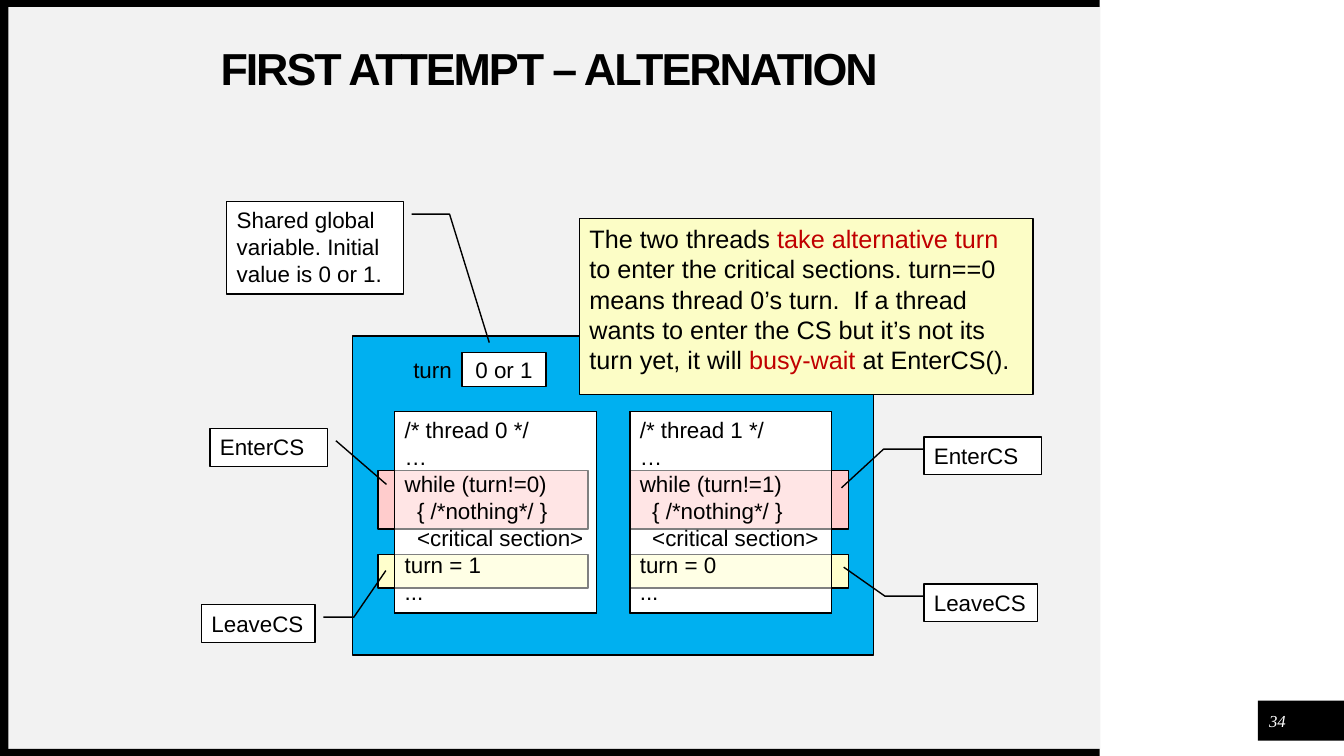
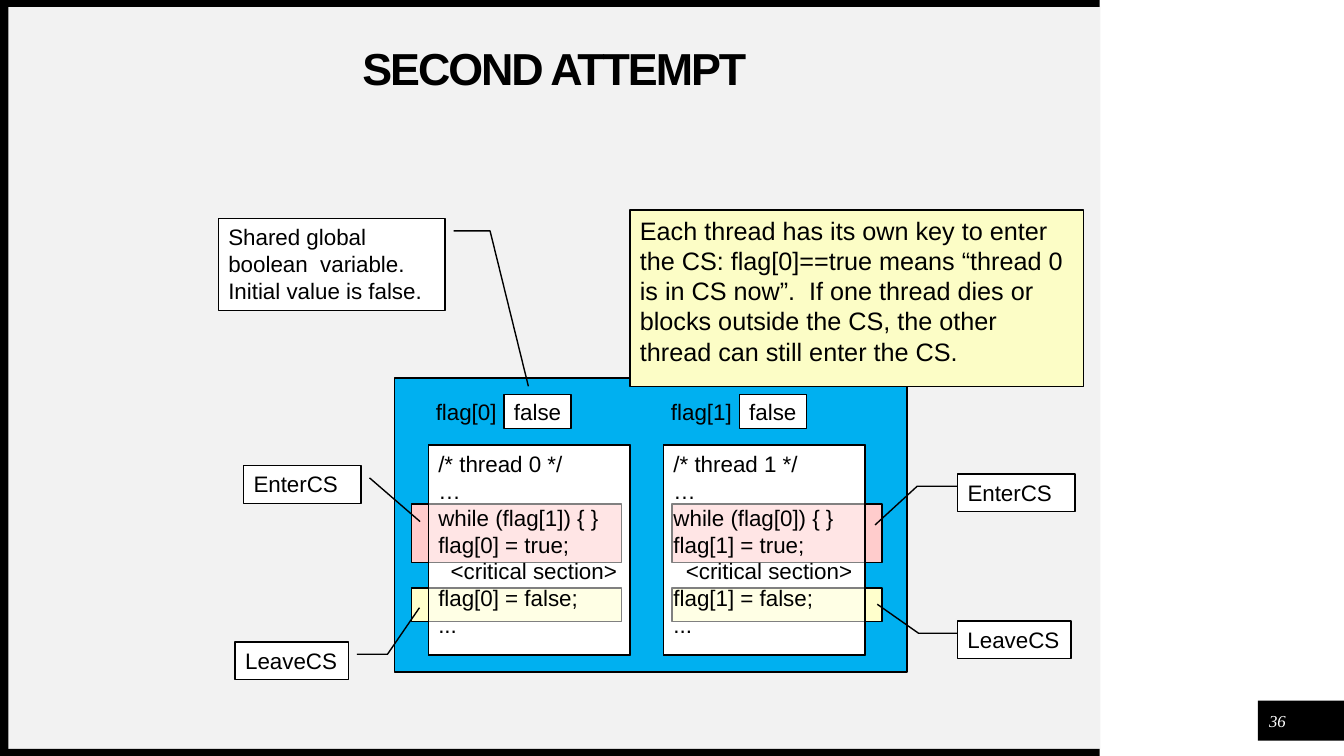
from dataclasses import dataclass
from typing import Any, NamedTuple, Sequence

from lxml.etree import SubElement
from pptx import Presentation
from pptx.dml.color import RGBColor
from pptx.enum.shapes import MSO_SHAPE
from pptx.enum.text import MSO_ANCHOR, MSO_AUTO_SIZE, PP_ALIGN
from pptx.oxml.ns import qn
from pptx.util import Pt

BLACK, WHITE, GREY, BLUE = "000000", "FFFFFF", "F2F2F2", "00B0F0"
PINK, CREAM, YELLOW, RED = "FFCCCC", "FFFFCC", "FCFDC6", "C00000"
BODY = {"name": "Arial", "size": Pt(16)}
NOTE = {"name": "Arial", "size": Pt(18)}
TITLE = {"name": "Arial", "size": Pt(32), "bold": True}
NUMBER = {"name": "Times New Roman", "size": Pt(12), "italic": True}
NO_MARGINS = {f"margin_{side}": 0 for side in ("left", "top", "right", "bottom")}
CENTERED = {**NO_MARGINS, "vertical_anchor": MSO_ANCHOR.MIDDLE, "word_wrap": False}
TOP = {"vertical_anchor": MSO_ANCHOR.TOP, "word_wrap": False}
WRAPPED = {"vertical_anchor": MSO_ANCHOR.TOP, "word_wrap": True}
FLAG_H, CODE_W, COLUMN_STEP = 24, 144, 168


class Box(NamedTuple):
    """A rectangle in points."""

    x: float
    y: float
    w: float
    h: float


class Span(NamedTuple):
    """A piece of text in one colour."""

    text: str
    color: str = BLACK


class Callout(NamedTuple):
    """A bordered label with a bent leader line."""

    text: str
    box: Box
    leader: Sequence[float]


@dataclass
class Flag:
    """A shared variable: its name and its value."""

    name: str
    value: str
    x: float
    name_w: float
    value_w: float


@dataclass
class Thread:
    """A code column with its enter and leave bands."""

    code: str
    band_x: float
    band_w: float


@dataclass
class Attempt:
    """The content of one slide."""

    title: str
    number: str
    panel: Box
    code_x: float
    code_y: float
    code_h: float
    bands_y: float
    flags_y: float
    flags: list[Flag]
    threads: list[Thread]
    note_at: tuple[float, float]
    note: list[Span]
    shared: Callout
    shift: tuple[float, float] = (0, 0)


LEADER_ENTER_LEFT = (0.327, 1.071, 0.327, 1.071, 1.482, 1.501)
LEADER_LEAVE_LEFT = (0.327, 1.074, 0.327, 1.343, -0.905, 1.625)
LEADER_ENTER_RIGHT = (0.327, 0, 0.327, -0.344, 1.35, -0.702)
LEADER_LEAVE_RIGHT = (0.327, 0, 0.327, -0.344, -0.441, -0.708)
SIDE_CALLOUTS = [
    Callout("EnterCS", Box(150, 306, 84, 27), LEADER_ENTER_LEFT),
    Callout("LeaveCS", Box(144, 432, 81, 27), LEADER_LEAVE_LEFT),
    Callout("EnterCS", Box(660, 312, 84, 27), LEADER_ENTER_RIGHT),
    Callout("LeaveCS", Box(660, 417, 81, 27), LEADER_LEAVE_RIGHT),
]
BANDS = [
    (Box(6, 5, 780, 530), GREY),
    (Box(898.5, 500.5, 61.5, 28.5), BLACK),
    (Box(0, 535, 785.5, 5), BLACK),
    (Box(0, 0, 785.5, 5), BLACK),
    (Box(0, 2.5, 6, 537.5), BLACK),
]
ATTEMPTS = [
    Attempt(
        title="FIRST ATTEMPT – ALTERNATION ",
        number="34",
        panel=Box(252, 240, 372, 228),
        code_x=282, code_y=294, code_h=144, bands_y=336, flags_y=252,
        flags=[Flag("turn", "0 or 1", 288, 42, 60)],
        threads=[
            Thread("/* thread 0 */\n…\nwhile (turn!=0) \n  { /*nothing*/ }\n"
                   "  <critical section>\nturn = 1\n...", 270, 150),
            Thread("/* thread 1 */\n…\nwhile (turn!=1) \n  { /*nothing*/ }\n"
                   "  <critical section>\nturn = 0\n...", 450, 156),
        ],
        note_at=(414, 156),
        note=[
            Span("The two threads "),
            Span("take alternative turn ", RED),
            Span("to enter the critical sections. turn==0 means thread 0’s turn.  "
                 "If a thread wants to enter the CS but it’s not its turn yet, it will "),
            Span("busy-wait", RED),
            Span(" at EnterCS()."),
        ],
        shared=Callout("Shared global variable. Initial value is 0 or 1.",
                       Box(162, 144, 126, 66), (0.136, 1.048, 0.136, 1.263, 1.527, 1.488)),
    ),
    Attempt(
        title="SECOND ATTEMPT",
        number="36",
        panel=Box(282, 270, 366, 210),
        code_x=306, code_y=318, code_h=150, bands_y=360, flags_y=282,
        flags=[Flag("flag[0]", "false", 306, 54, 48), Flag("flag[1]", "false", 474, 54, 48)],
        threads=[
            Thread("/* thread 0 */\n…\nwhile (flag[1]) { }\nflag[0] = true;\n"
                   "  <critical section>\nflag[0] = false;\n...", 294, 150),
            Thread("/* thread 1 */\n…\nwhile (flag[0]) { }\nflag[1] = true;\n"
                   "  <critical section>\nflag[1] = false;\n...", 480, 150),
        ],
        note_at=(450, 150),
        note=[Span("Each thread has its own key to enter the CS: flag[0]==true means "
                   "“thread 0 is in CS now”.  If one thread dies or blocks outside the CS, "
                   "the other thread can still enter the CS.")],
        shared=Callout("Shared global boolean  variable. Initial value is false.",
                       Box(156, 156, 162, 66), (0.136, 1.037, 0.136, 1.198, 1.818, 1.367)),
        shift=(24, 26.5),
    ),
]


def apply(obj: Any, values: dict[str, Any]) -> None:
    """Set every attribute named in a dict of format values."""
    for name, value in values.items():
        setattr(obj, name, value)


def paint(fmt: Any, color: str) -> None:
    """Give a fill a solid colour."""
    fmt.solid()
    fmt.fore_color.rgb = RGBColor.from_string(color)


def pts(box: Box) -> list[Pt]:
    """Turn a box into lengths."""
    return [Pt(v) for v in box]


def write(tf: Any, lines: list[list[Span]], font: dict[str, Any],
          frame: dict[str, Any], align: PP_ALIGN = PP_ALIGN.LEFT) -> None:
    """Write one paragraph per line of coloured spans."""
    apply(tf, frame)
    for i, line in enumerate(lines):
        p = tf.add_paragraph() if i else tf.paragraphs[0]
        p.alignment = align
        for span in line:
            r = p.add_run()
            r.text = span.text
            apply(r.font, font)
            paint(r.font.fill, span.color)


def add_box(s: Any, box: Box, fill: str, line: str | None = BLACK,
            kind: MSO_SHAPE = MSO_SHAPE.RECTANGLE, opacity: int = 100) -> Any:
    """Draw a filled, optionally outlined shape."""
    sp = s.shapes.add_shape(kind, *pts(box))
    sp.shadow.inherit = False
    paint(sp.fill, fill)
    if opacity < 100:
        clr = next(sp.element.iter(qn("a:srgbClr")))
        SubElement(clr, qn("a:alpha")).set("val", str(opacity * 1000))
    if line:
        paint(sp.line.fill, line)
        sp.line.width = Pt(1)
    else:
        sp.line.fill.background()
    return sp


def add_callout(s: Any, callout: Callout, shift: tuple[float, float] = (0, 0)) -> None:
    """Draw a callout, moved by a shift."""
    x, y, w, h = callout.box
    sp = add_box(s, Box(x + shift[0], y + shift[1], w, h), WHITE, kind=MSO_SHAPE.LINE_CALLOUT_2)
    for i, value in enumerate(callout.leader):
        sp.adjustments[i] = value
    write(sp.text_frame, [[Span(callout.text)]], BODY, WRAPPED)


def add_flag(s: Any, flag: Flag, y: float) -> None:
    """Draw a variable name beside its value box."""
    name = s.shapes.add_textbox(*pts(Box(flag.x, y, flag.name_w, FLAG_H)))
    value = add_box(s, Box(flag.x + flag.name_w, y, flag.value_w, FLAG_H), WHITE)
    for sp, text in ((name, flag.name), (value, flag.value)):
        write(sp.text_frame, [[Span(text)]], BODY, CENTERED, PP_ALIGN.CENTER)


def add_thread(s: Any, thread: Thread, box: Box, bands_y: float) -> None:
    """Draw a code column with bands showing through it."""
    add_box(s, box, WHITE)
    add_box(s, Box(thread.band_x, bands_y, thread.band_w, 42), PINK)
    add_box(s, Box(thread.band_x, bands_y + 60, thread.band_w, 24), CREAM)
    sp = add_box(s, box, WHITE, opacity=50)
    write(sp.text_frame, [[Span(t)] for t in thread.code.split("\n")], BODY, TOP)


def add_title(s: Any, text: str) -> None:
    """Fill and format the title placeholder."""
    sp = s.shapes.title
    apply(sp, dict(zip(("left", "top", "width", "height"), pts(Box(34, 34, 724, 34)))))
    frame = {**CENTERED, "word_wrap": True, "auto_size": MSO_AUTO_SIZE.NONE}
    write(sp.text_frame, [[Span(text)]], TITLE, frame, PP_ALIGN.CENTER)
    p = sp.text_frame.paragraphs[0]
    p.line_spacing = 0.9
    p.runs[0]._r.get_or_add_rPr().set("spc", "-150")


def add_bands(s: Any) -> None:
    """Put the shared bands on the layout of a slide."""
    tree = s.slide_layout.shapes.element
    for i, (box, color) in enumerate(BANDS):
        sp = add_box(s, box, color, line=None)
        sp.element.nvSpPr.cNvPr.set("id", str(100 + i))
        tree.insert(2 + i, sp.element)


def add_attempt(s: Any, a: Attempt) -> None:
    """Draw one attempt on its slide."""
    add_title(s, a.title)
    add_box(s, a.panel, BLUE)
    for flag in a.flags:
        add_flag(s, flag, a.flags_y)
    for i, thread in enumerate(a.threads):
        box = Box(a.code_x + i * COLUMN_STEP, a.code_y, CODE_W, a.code_h)
        add_thread(s, thread, box, a.bands_y)
    sp = add_box(s, Box(*a.note_at, 324, 126), YELLOW)
    write(sp.text_frame, [a.note], NOTE, WRAPPED)
    add_callout(s, a.shared)
    for callout in SIDE_CALLOUTS:
        add_callout(s, callout, a.shift)
    sp = s.shapes.add_textbox(*pts(Box(901.5, 504, 22, 22)))
    write(sp.text_frame, [[Span(a.number, WHITE)]], NUMBER, CENTERED, PP_ALIGN.CENTER)


def main() -> None:
    """Build and save the presentation."""
    prs = Presentation()
    apply(prs, {"slide_width": Pt(960), "slide_height": Pt(540)})
    layout = prs.slide_layouts[5]
    for i, attempt in enumerate(ATTEMPTS):
        s = prs.slides.add_slide(layout)
        if i == 0:
            add_bands(s)
        add_attempt(s, attempt)
    prs.save("out.pptx")


if __name__ == "__main__":
    main()
